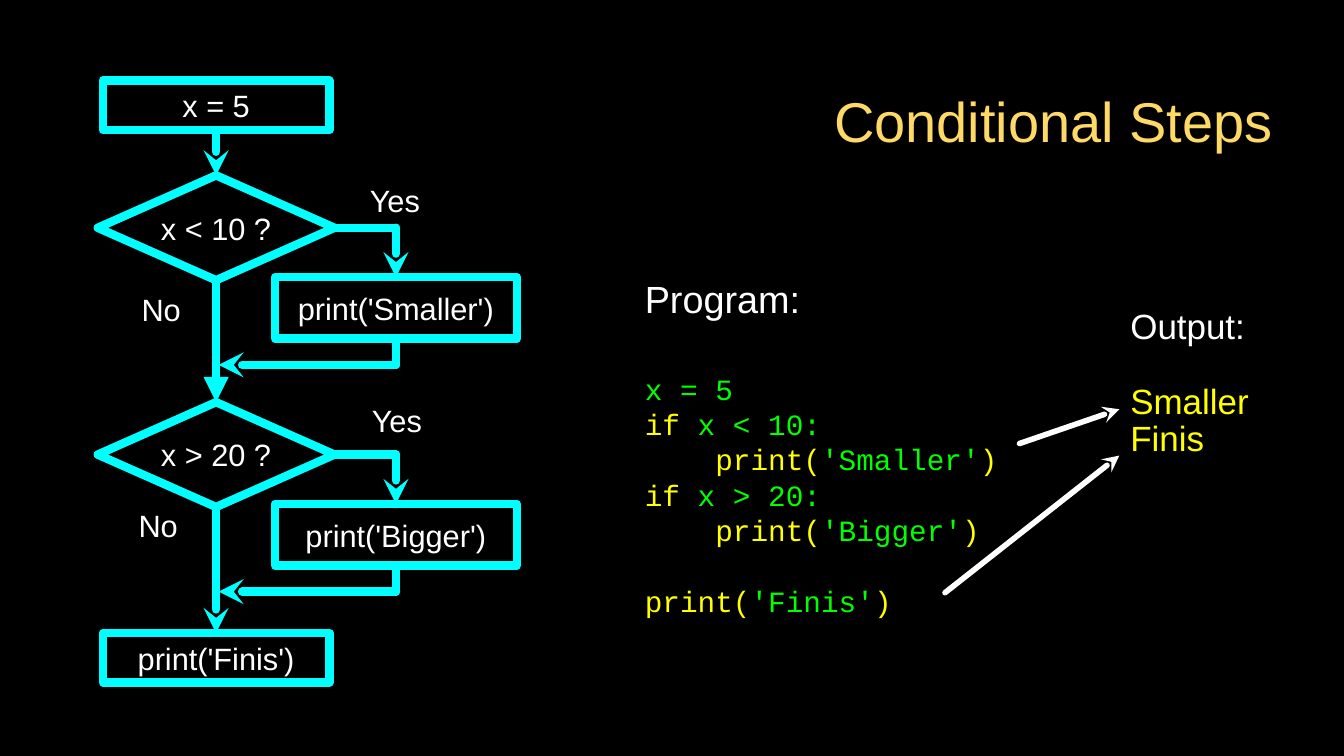
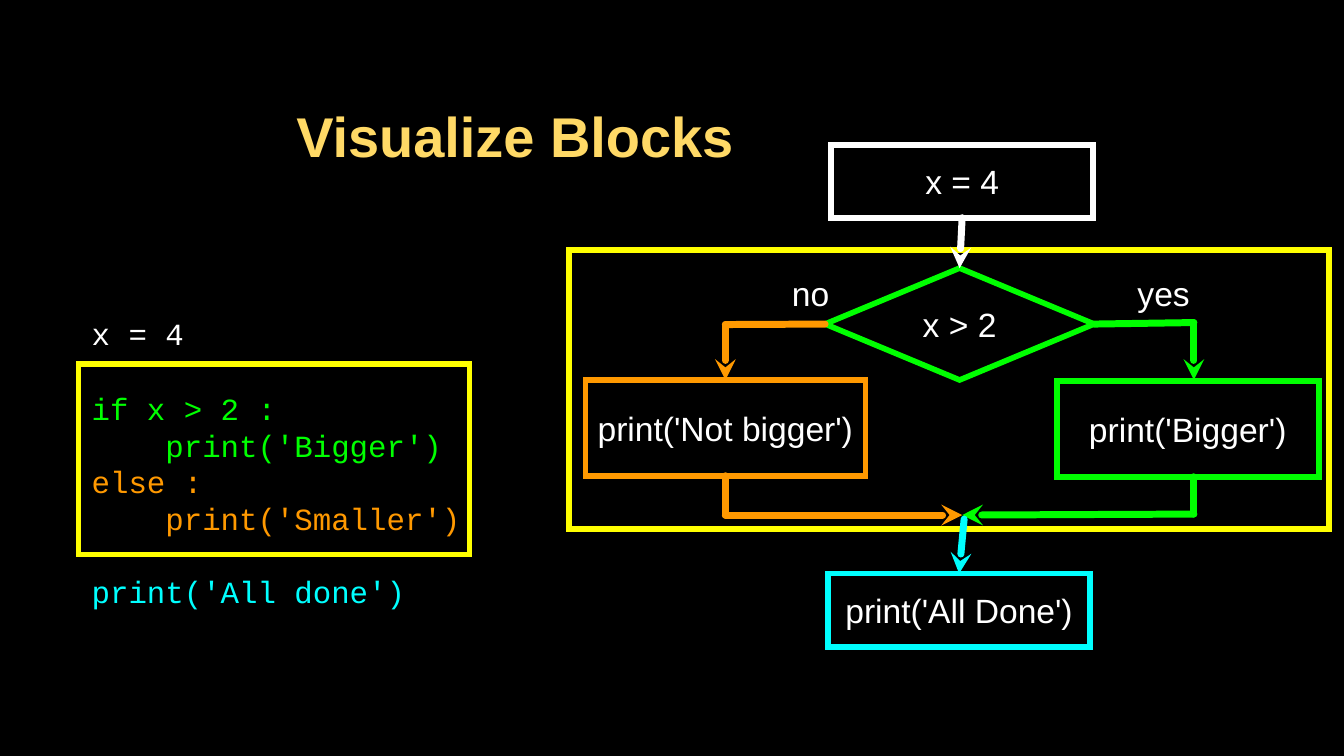
from dataclasses import dataclass
from itertools import pairwise
from typing import NamedTuple

from lxml.etree import SubElement
from pptx import Presentation
from pptx.dml.color import RGBColor
from pptx.enum.shapes import MSO_CONNECTOR, MSO_SHAPE
from pptx.enum.text import MSO_ANCHOR, MSO_AUTO_SIZE, PP_ALIGN
from pptx.oxml.ns import qn
from pptx.presentation import Presentation as Deck
from pptx.shapes.autoshape import Shape
from pptx.slide import Slide
from pptx.text.text import TextFrame
from pptx.util import Inches, Pt


@dataclass(frozen=True)
class Theme:
    black: str = "000000"
    white: str = "FFFFFF"
    gold: str = "FFD966"
    yellow: str = "FFFF00"
    green: str = "00FF00"
    orange: str = "FF9900"
    cyan: str = "00FFFF"
    sans: str = "Arial"
    mono: str = "Courier New"
    title: float = 40
    heading: float = 27
    output: float = 25


THEME = Theme()
TOP, LEFT, BOTTOM, RIGHT = range(4)


class Box(NamedTuple):
    x: float
    y: float
    w: float
    h: float


class Point(NamedTuple):
    x: float
    y: float


class Site(NamedTuple):
    shape: Shape
    side: int


class Span(NamedTuple):
    text: str
    color: str


@dataclass(frozen=True)
class Line:
    spans: tuple[Span, ...]
    size: float
    font: str = THEME.sans
    align: PP_ALIGN = PP_ALIGN.LEFT
    before: float = 0
    spacing: float | Pt | None = None
    bold: bool = False


@dataclass(frozen=True)
class Flow:
    """Look of one flowchart: text size, outline and connector widths, corners."""
    size: float
    outline: float
    stroke: float
    join: str


STEPS = Flow(size=22, outline=6, stroke=6, join="round")
BLOCKS = Flow(size=24, outline=4, stroke=5, join="miter")


def rgb(color: str) -> RGBColor:
    return RGBColor.from_string(color)


def place(sp: Shape, box: Box) -> None:
    sp.left, sp.top, sp.width, sp.height = map(Inches, box)


def write(tf: TextFrame, lines: list[Line], inset: float = 0) -> None:
    tf.word_wrap = True
    tf.auto_size = MSO_AUTO_SIZE.NONE
    tf.vertical_anchor = MSO_ANCHOR.MIDDLE
    tf.margin_left = tf.margin_right = Inches(inset)
    tf.margin_top = tf.margin_bottom = Inches(inset)
    for i, line in enumerate(lines):
        p = tf.add_paragraph() if i else tf.paragraphs[0]
        p.alignment = line.align
        if line.before:
            p.space_before = Pt(line.before)
        if line.spacing:
            p.line_spacing = line.spacing
        for span in line.spans:
            r = p.add_run()
            r.text = span.text
            r.font.name, r.font.size = line.font, Pt(line.size)
            r.font.bold = line.bold
            r.font.color.rgb = rgb(span.color)


def add_slide(prs: Deck, title: str, box: Box, bold: bool = False) -> Slide:
    slide = prs.slides.add_slide(prs.slide_layouts.get_by_name("Title Only"))
    sp = slide.shapes.title
    place(sp, box)
    write(sp.text_frame, [Line((Span(title, THEME.gold),), THEME.title,
                               align=PP_ALIGN.RIGHT, bold=bold)], inset=0.03)
    return slide


def add_text(slide: Slide, box: Box, lines: list[Line]) -> None:
    sp = slide.shapes.add_textbox(*map(Inches, box))
    write(sp.text_frame, lines)


def centered(text: str, flow: Flow) -> list[Line]:
    return [Line((Span(text, THEME.white),), flow.size, align=PP_ALIGN.CENTER)]


def add_node(slide: Slide, flow: Flow, box: Box, color: str, text: str = "",
             kind: MSO_SHAPE = MSO_SHAPE.RECTANGLE) -> Shape:
    sp = slide.shapes.add_shape(kind, *map(Inches, box))
    sp.shadow.inherit = False
    sp.fill.background()
    sp.line.color.rgb = rgb(color)
    sp.line.width = Pt(flow.outline)
    join = SubElement(sp.line._get_or_add_ln(), qn(f"a:{flow.join}"))
    if flow.join == "miter":
        join.set("lim", "800000")
    if text:
        write(sp.text_frame, centered(text, flow))
    return sp


def add_route(slide: Slide, color: str, width: float, *stops: Point | Site,
              head: str | None = "stealth") -> None:
    """Draw straight connectors from stop to stop, with a head on the last."""
    for start, end in pairwise(stops):
        cxn = slide.shapes.add_connector(MSO_CONNECTOR.STRAIGHT, 0, 0, 0, 0)
        if isinstance(start, Site):
            cxn.begin_connect(start.shape, start.side)
        else:
            cxn.begin_x, cxn.begin_y = map(Inches, start)
        if isinstance(end, Site):
            cxn.end_connect(end.shape, end.side)
        else:
            cxn.end_x, cxn.end_y = map(Inches, end)
        cxn.line.color.rgb = rgb(color)
        cxn.line.width = Pt(width)
        ln = cxn.line._get_or_add_ln()
        ln.set("cap", "rnd")
        SubElement(ln, qn("a:round"))
        if head and end is stops[-1]:
            SubElement(ln, qn("a:tailEnd"), type=head)
        SubElement(cxn._element.spPr, qn("a:effectLst"))


def code(*spans: Span, size: float, pitch: float, before: float = 0) -> Line:
    return Line(spans, size, THEME.mono, before=before, spacing=Pt(pitch))


def conditional_steps(prs: Deck) -> None:
    slide = add_slide(prs, "Conditional Steps", Box(4.8, 0.63, 7.86, 1.12))
    white, yellow, green, cyan = THEME.white, THEME.yellow, THEME.green, THEME.cyan

    add_text(slide, Box(11.22, 2.92, 1.3, 1.79), [
        Line((Span("Output:", white),), THEME.output, spacing=0.9),
        Line((Span("Smaller", yellow),), THEME.output, before=26, spacing=0.9),
        Line((Span("Finis", yellow),), THEME.output, spacing=0.9),
    ])

    def row(*spans: Span, before: float = 0) -> Line:
        return code(*spans, size=21, pitch=25.2, before=before)

    def test(condition: str) -> Line:
        return row(Span("if ", yellow), Span(condition, green))

    def call(word: str, indent: str = "", before: float = 0) -> Line:
        return row(Span(f"{indent}print(", yellow), Span(f"'{word}'", green),
                   Span(")", yellow), before=before)

    add_text(slide, Box(6.4, 2.39, 3.72, 4.09), [
        Line((Span("Program:", white),), THEME.heading),
        row(Span("x = 5", green), before=35.4),
        test("x < 10:"),
        call("Smaller", "    "),
        test("x > 20:"),
        call("Bigger", "    "),
        call("Finis", before=25.5),
    ])

    start, finish = (add_node(slide, STEPS, Box(1.02, y, 2.25, 0.49), cyan, text)
                     for y, text in ((0.8, "x = 5"), (6.28, "print('Finis')")))
    tests = []
    for i, (condition, action) in enumerate((("x < 10 ?", "print('Smaller')"),
                                             ("x > 20 ?", "print('Bigger')"))):
        y = 1.74 + 2.25 * i
        diamond = add_node(slide, STEPS, Box(0.97, y, 2.35, 1.04), cyan,
                           condition, MSO_SHAPE.DIAMOND)
        box = add_node(slide, STEPS, Box(2.73, y + 1.01, 2.4, 0.61), cyan, action)
        add_route(slide, cyan, STEPS.stroke, Site(diamond, RIGHT),
                  Point(3.93, y + 0.52), Site(box, TOP))
        add_route(slide, cyan, STEPS.stroke, Site(box, BOTTOM),
                  Point(3.93, y + 1.88), Point(2.17, y + 1.88))
        tests.append(diamond)
    first, second = tests
    for above, below, head in ((start, first, "stealth"),
                               (first, second, "triangle"),
                               (second, finish, "stealth")):
        add_route(slide, cyan, STEPS.stroke, Site(above, BOTTOM),
                  Site(below, TOP), head=head)

    for tail, tip in ((Point(10.12, 4.4), Point(11.11, 4.06)),
                      (Point(9.38, 5.88), Point(11.11, 4.52))):
        add_route(slide, white, 4, tail, tip)

    for text, box in (("Yes", Box(3.62, 1.73, 0.6, 0.51)),
                      ("Yes", Box(3.64, 3.91, 0.6, 0.51)),
                      ("No", Box(1.3, 2.78, 0.6, 0.58)),
                      ("No", Box(1.27, 5, 0.6, 0.43))):
        add_text(slide, box, centered(text, STEPS))


def visualize_blocks(prs: Deck) -> None:
    slide = add_slide(prs, "Visualize Blocks", Box(0.95, 0.61, 6.36, 1.47), bold=True)
    white, green, orange, cyan = THEME.white, THEME.green, THEME.orange, THEME.cyan

    for frame in (Box(0.78, 3.61, 3.88, 1.89), Box(5.65, 2.48, 7.54, 2.77)):
        add_node(slide, BLOCKS, frame, THEME.yellow)
    add_text(slide, Box(0.91, 2.94, 3.95, 3.29), [
        code(Span(text, color), size=22, pitch=26.2, before=before)
        for text, color, before in (("x = 4", white, 0),
                                    ("if x > 2 :", green, 27.4),
                                    ("    print('Bigger')", green, 0),
                                    ("else :", orange, 0),
                                    ("    print('Smaller')", orange, 0),
                                    ("print('All done')", cyan, 26))])

    start = add_node(slide, BLOCKS, Box(8.25, 1.44, 2.6, 0.72), white, "x = 4")
    diamond = add_node(slide, BLOCKS, Box(8.19, 2.66, 2.67, 1.11), green,
                       "x > 2", MSO_SHAPE.DIAMOND)
    add_node(slide, BLOCKS, Box(10.49, 3.78, 2.6, 0.95), green, "print('Bigger')")
    smaller = add_node(slide, BLOCKS, Box(5.81, 3.77, 2.78, 0.95), orange,
                       "print('Not bigger')")
    finish = add_node(slide, BLOCKS, Box(8.22, 5.69, 2.6, 0.73), cyan,
                      "print('All Done')")

    merge = Point(9.55, 5.11)
    for color, *stops in (
            (green, Site(diamond, RIGHT), Point(11.85, 3.2), Point(11.85, 3.77)),
            (green, Point(11.85, 4.73), Point(11.85, 5.1), merge),
            (white, Site(start, BOTTOM), Site(diamond, TOP)),
            (orange, Site(diamond, LEFT), Point(7.2, 3.22), Site(smaller, TOP)),
            (orange, Site(smaller, BOTTOM), Point(7.2, 5.11), merge),
            (cyan, Point(9.57, 5.15), Site(finish, TOP))):
        add_route(slide, color, BLOCKS.stroke, *stops)

    for text, box in (("yes", Box(11.22, 2.7, 0.66, 0.42)),
                      ("no", Box(7.84, 2.7, 0.41, 0.42))):
        add_text(slide, box, centered(text, BLOCKS))


def main() -> None:
    prs = Presentation()
    prs.slide_width, prs.slide_height = Inches(13.34), Inches(7.5)
    fill = prs.slide_master.background.fill
    fill.solid()
    fill.fore_color.rgb = rgb(THEME.black)
    conditional_steps(prs)
    visualize_blocks(prs)
    prs.save("out.pptx")


if __name__ == "__main__":
    main()
